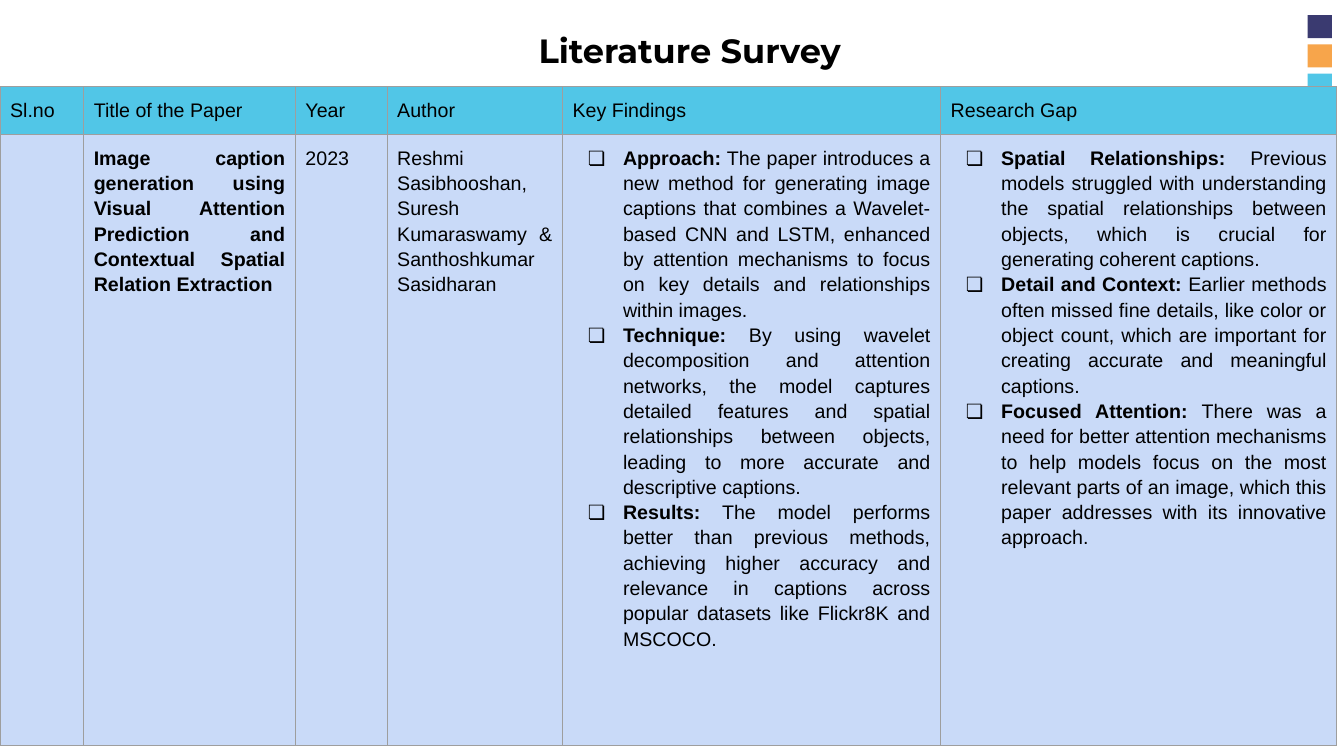
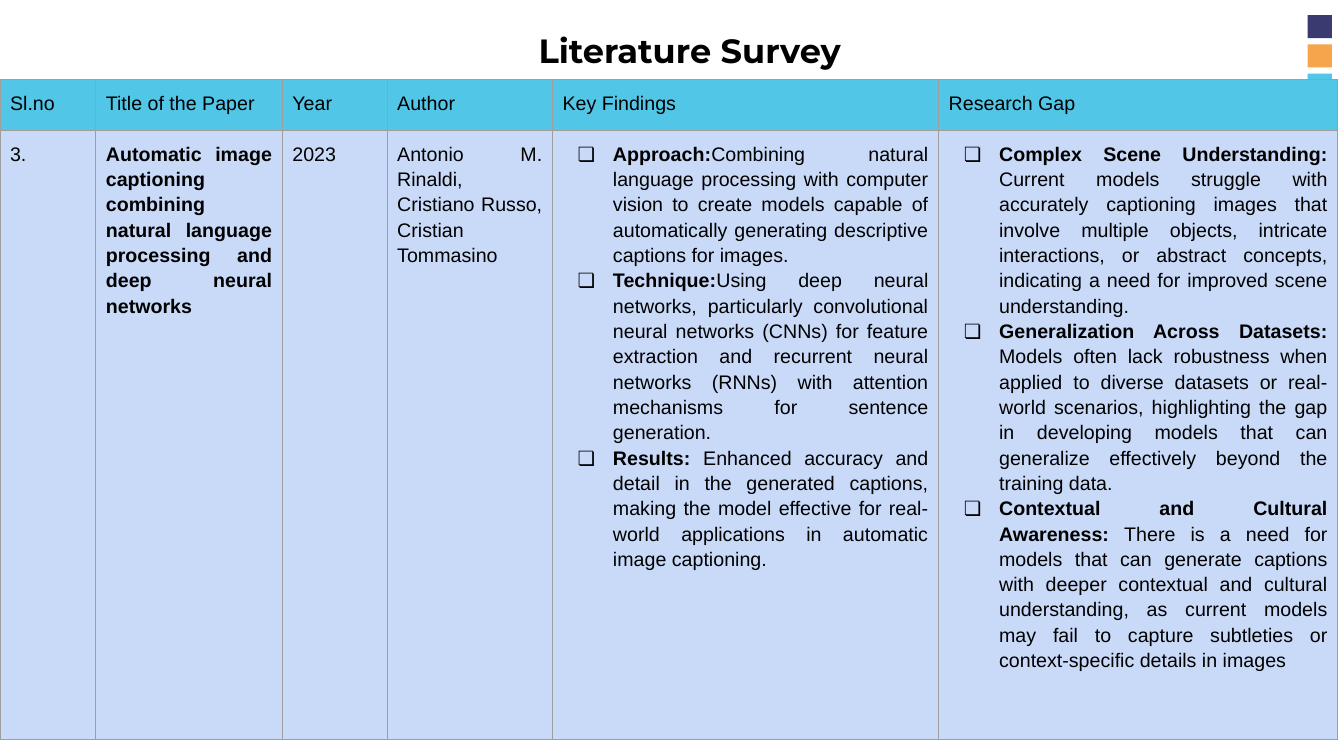
from lxml.etree import SubElement
from pptx import Presentation
from pptx.dml.color import RGBColor
from pptx.enum.shapes import MSO_SHAPE
from pptx.enum.text import PP_ALIGN
from pptx.oxml.ns import qn
from pptx.util import Inches, Pt

BLACK = RGBColor(0x00, 0x00, 0x00)
RULE = RGBColor(0x9E, 0x9E, 0x9E)
NAVY = RGBColor(0x3A, 0x3A, 0x70)
ORANGE = RGBColor(0xF7, 0xA5, 0x4B)
CYAN = RGBColor(0x51, 0xC6, 0xE7)
PALE_BLUE = RGBColor(0xC9, 0xDA, 0xF8)

HEADINGS = ["Sl.no", "Title of the Paper", "Year", "Author",
            "Key Findings", "Research Gap"]
TITLE_COLUMN = HEADINGS.index("Title of the Paper")


class SurveyDeck:
    """Holds the shared style and the current slide."""

    def __init__(self):
        self.deck = Presentation()
        self.deck.slide_width = Inches(13.33)
        self.deck.slide_height = Inches(7.5)
        self.slide = None

    def new_slide(self, title):
        self.slide = self.deck.slides.add_slide(self.deck.slide_layouts[6])
        self.corner_squares()
        self.title(title)

    def corner_squares(self):
        for i, color in enumerate([NAVY, ORANGE, CYAN]):
            square = self.slide.shapes.add_shape(
                MSO_SHAPE.RECTANGLE, Inches(12.97), Inches(0.15 + 0.29 * i),
                Inches(0.24), Inches(0.23))
            square.shadow.inherit = False
            square.fill.solid()
            square.fill.fore_color.rgb = color
            square.line.fill.background()

    def title(self, words):
        frame = self.slide.shapes.add_textbox(
            Inches(1.09), Inches(0.25), Inches(11.5), Inches(0.54)).text_frame
        frame.word_wrap = True
        paragraph = frame.paragraphs[0]
        paragraph.alignment = PP_ALIGN.CENTER
        self.run(paragraph, words, font="Montserrat", size=24, bold=True)

    def run(self, paragraph, words, font="Arial", size=14, bold=False):
        run = paragraph.add_run()
        run.text = words
        run.font.name = font
        run.font.size = Pt(size)
        run.font.bold = bold
        run.font.color.rgb = BLACK

    def bullet(self, paragraph):
        props = paragraph._p.get_or_add_pPr()
        props.set("marL", str(Inches(0.5)))
        props.set("indent", str(Inches(-0.35)))
        bullet_color = SubElement(props, qn("a:buClr"))
        SubElement(bullet_color, qn("a:srgbClr"), val=str(BLACK))
        SubElement(props, qn("a:buFont"), typeface="Arial")
        SubElement(props, qn("a:buChar"), char="❏")

    def cell(self, cell, content, fill, bold):
        cell.margin_left = cell.margin_right = Inches(0.1)
        cell.margin_top = cell.margin_bottom = Inches(0.1)
        # Borders come before the fill in the cell properties
        props = cell._tc.get_or_add_tcPr()
        for side in ("lnL", "lnR", "lnT", "lnB"):
            border = SubElement(props, qn(f"a:{side}"), w=str(Pt(0.75)))
            line_fill = SubElement(border, qn("a:solidFill"))
            SubElement(line_fill, qn("a:srgbClr"), val=str(RULE))
        cell.fill.solid()
        cell.fill.fore_color.rgb = fill

        # A list holds bulleted (label, detail) points
        points = content if isinstance(content, list) else [content]
        frame = cell.text_frame
        for i, point in enumerate(points):
            paragraph = frame.add_paragraph() if i else frame.paragraphs[0]
            paragraph.alignment = PP_ALIGN.JUSTIFY
            paragraph.line_spacing = 1.15
            if isinstance(point, tuple):
                label, detail = point
                self.bullet(paragraph)
                self.run(paragraph, label, bold=True)
                self.run(paragraph, detail)
            elif point:
                self.run(paragraph, point, bold=bold)

    def survey_table(self, top, widths, heights, paper):
        table = self.slide.shapes.add_table(
            len(heights), len(widths), 0, Inches(top),
            Inches(sum(widths)), Inches(sum(heights))).table
        table.horz_banding = False
        for column, width in zip(table.columns, widths):
            column.width = Inches(width)
        for row, height in zip(table.rows, heights):
            row.height = Inches(height)
        for c, (heading, entry) in enumerate(zip(HEADINGS, paper)):
            self.cell(table.cell(0, c), heading, CYAN, False)
            self.cell(table.cell(1, c), entry, PALE_BLUE, c == TITLE_COLUMN)


def main():
    survey = SurveyDeck()

    # Visual attention and spatial relations
    survey.new_slide("Literature Survey")
    survey.survey_table(0.86, [0.83, 2.1, 0.91, 1.74, 3.75, 3.93], [0.47, 6.07], [
        "",
        "Image caption generation using Visual Attention Prediction and "
        "Contextual Spatial Relation Extraction",
        "2023",
        "Reshmi Sasibhooshan, Suresh Kumaraswamy & Santhoshkumar Sasidharan",
        [("Approach:",
          " The paper introduces a new method for generating image captions that "
          "combines a Wavelet-based CNN and LSTM, enhanced by attention mechanisms "
          "to focus on key details and relationships within images."),
         ("Technique:",
          " By using wavelet decomposition and attention networks, the model "
          "captures detailed features and spatial relationships between objects, "
          "leading to more accurate and descriptive captions."),
         ("Results:",
          " The model performs better than previous methods, achieving higher "
          "accuracy and relevance in captions across popular datasets like "
          "Flickr8K and MSCOCO.")],
        [("Spatial Relationships:",
          " Previous models struggled with understanding the spatial relationships "
          "between objects, which is crucial for generating coherent captions."),
         ("Detail and Context:",
          " Earlier methods often missed fine details, like color or object count, "
          "which are important for creating accurate and meaningful captions."),
         ("Focused Attention:",
          " There was a need for better attention mechanisms to help models focus "
          "on the most relevant parts of an image, which this paper addresses with "
          "its innovative approach.")],
    ])

    # Language processing and deep networks
    survey.new_slide("Literature Survey")
    survey.survey_table(0.79, [0.95, 1.85, 1.04, 1.64, 3.83, 3.96], [0.5, 6.05], [
        "3.",
        "Automatic image captioning combining natural language processing and "
        "deep neural networks",
        "2023",
        "Antonio M. Rinaldi, Cristiano Russo, Cristian Tommasino",
        [("Approach:",
          "Combining natural language processing with computer vision to create "
          "models capable of automatically generating descriptive captions for "
          "images."),
         ("Technique:",
          "Using deep neural networks, particularly convolutional neural networks "
          "(CNNs) for feature extraction and recurrent neural networks (RNNs) with "
          "attention mechanisms for sentence generation."),
         ("Results: ",
          "Enhanced accuracy and detail in the generated captions, making the model "
          "effective for real-world applications in automatic image captioning.")],
        [("Complex Scene Understanding: ",
          "Current models struggle with accurately captioning images that involve "
          "multiple objects, intricate interactions, or abstract concepts, "
          "indicating a need for improved scene understanding."),
         ("Generalization Across Datasets: ",
          "Models often lack robustness when applied to diverse datasets or "
          "real-world scenarios, highlighting the gap in developing models that can "
          "generalize effectively beyond the training data."),
         ("Contextual and Cultural Awareness: ",
          "There is a need for models that can generate captions with deeper "
          "contextual and cultural understanding, as current models may fail to "
          "capture subtleties or context-specific details in images")],
    ])

    survey.deck.save("out.pptx")


if __name__ == "__main__":
    main()
